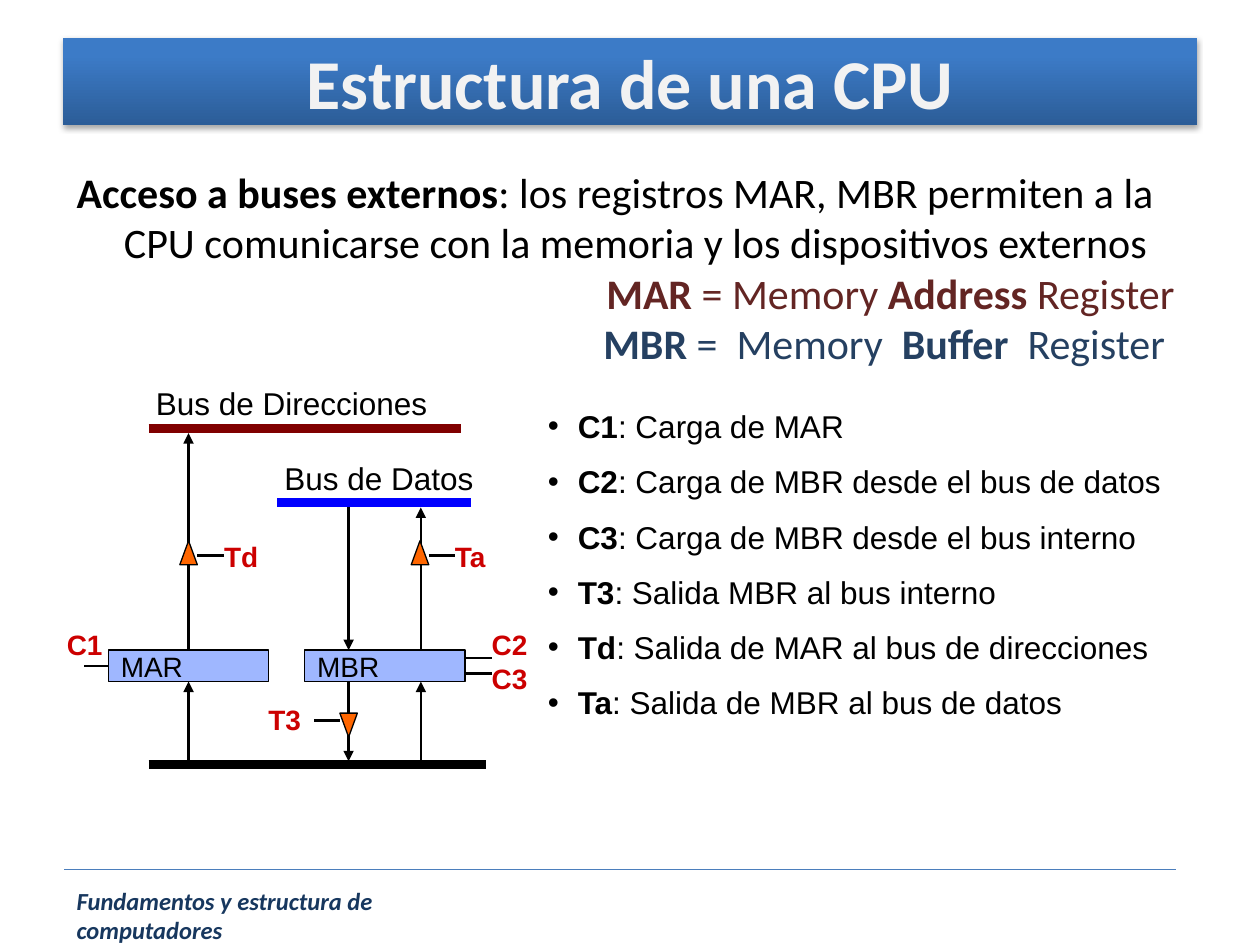
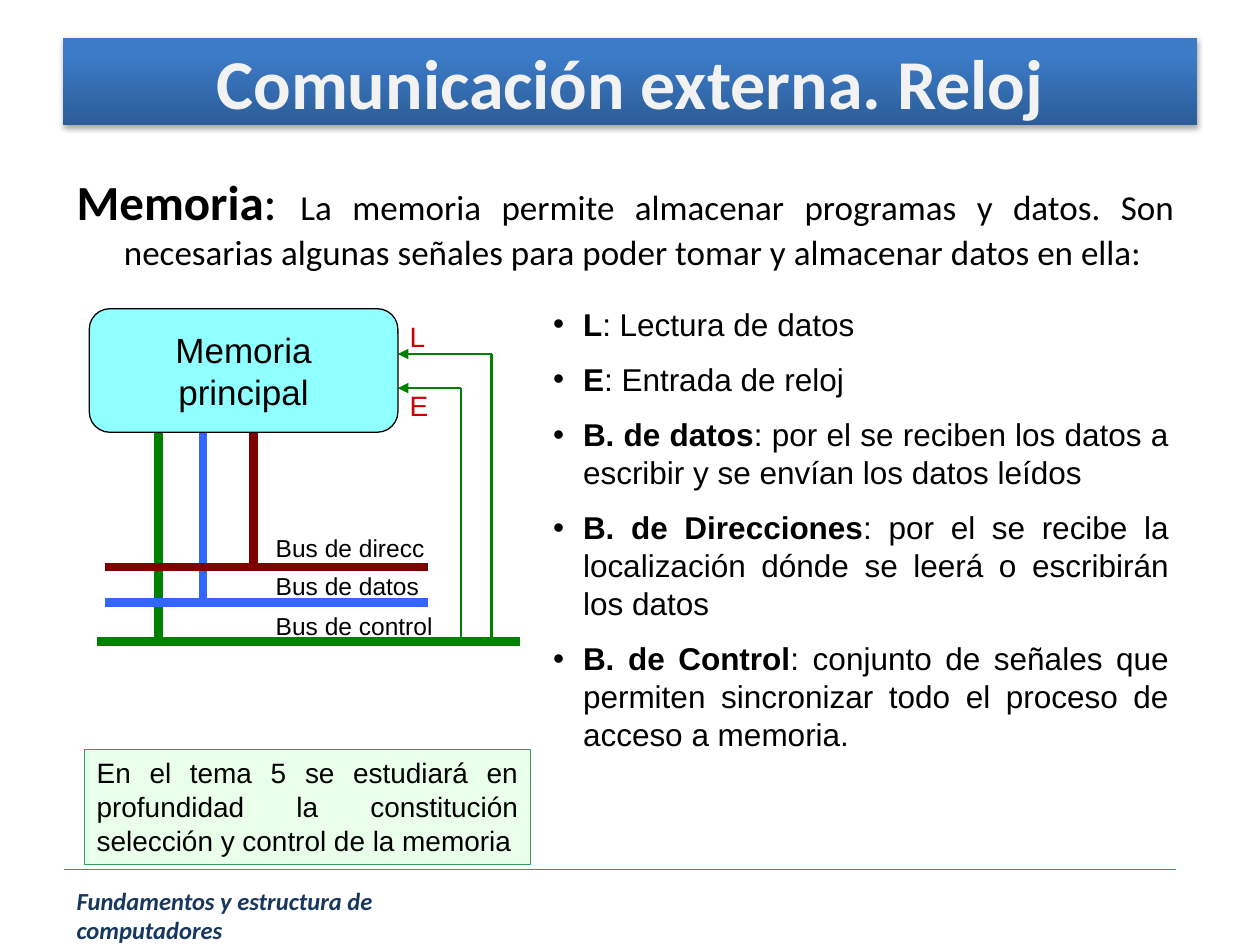
from lxml import etree
from pptx import Presentation
from pptx.dml.color import RGBColor
from pptx.enum.shapes import MSO_CONNECTOR, MSO_SHAPE
from pptx.enum.text import MSO_ANCHOR, PP_ALIGN
from pptx.oxml.ns import qn
from pptx.util import Pt

STRAIGHT = MSO_CONNECTOR.STRAIGHT
RECTANGLE, ROUNDED = MSO_SHAPE.RECTANGLE, MSO_SHAPE.ROUNDED_RECTANGLE
TRIANGLE = MSO_SHAPE.ISOSCELES_TRIANGLE
LEFT, CENTER, RIGHT, JUSTIFY = PP_ALIGN.LEFT, PP_ALIGN.CENTER, PP_ALIGN.RIGHT, PP_ALIGN.JUSTIFY
TOP, MIDDLE = MSO_ANCHOR.TOP, MSO_ANCHOR.MIDDLE
SIDE_TOP, SIDE_LEFT, SIDE_BOTTOM = 0, 1, 2

COLORS = {
    "black": "000000", "title": "F2F2F2", "band_low": "2C5D98", "band_high": "3C7BC7",
    "rule": "4B7EBC", "footer": "17375E", "mar": "632523", "mbr": "254061",
    "signal": "CC0000", "gate": "FF6600", "register": "3366FF", "memory": "00FFFF",
    "address_bus": "800000", "data_bus": "0000FF", "blue_bus": "3366FF",
    "control_bus": "008000", "note": "CCFFCC", "note_edge": "339966",
}
BOLD = {"bold": True}
BUS_WIDTH = 5
WIRE_WIDTH = 1.5


def rgb(name):
    return RGBColor.from_string(COLORS[name])


def set_attributes(target, values):
    for name, value in values.items():
        setattr(target, name, value)


def text_style(size, color="black", name="Arial", **extra):
    return {"size": Pt(size), "name": name, "color": color, **extra}


def format_run(run, style):
    style = dict(style)
    run.font.color.rgb = rgb(style.pop("color"))
    set_attributes(run.font, style)


def indent(paragraph, margin, bullet=None):
    """Give the paragraph a hanging indent, with an optional bullet."""
    properties = paragraph._p.get_or_add_pPr()
    properties.set("marL", str(Pt(margin)))
    properties.set("indent", str(-Pt(margin)))
    if bullet:
        etree.SubElement(properties, qn("a:buFont"), typeface="Arial")
        etree.SubElement(properties, qn("a:buChar"), char=bullet)


def write(shape, paragraphs, style, align=LEFT, gap=0, hang=0, bullet=None,
          anchor=TOP, side_inset=7.2, edge_inset=3.6):
    """Fill a shape; each paragraph is a list of (text, style changes) runs."""
    frame = shape.text_frame
    set_attributes(frame, {
        "word_wrap": True, "vertical_anchor": anchor,
        "margin_left": Pt(side_inset), "margin_right": Pt(side_inset),
        "margin_top": Pt(edge_inset), "margin_bottom": Pt(edge_inset),
    })
    for index, runs in enumerate(paragraphs):
        paragraph = frame.add_paragraph() if index else frame.paragraphs[0]
        if hang:
            indent(paragraph, hang, bullet)
        set_attributes(paragraph, {"alignment": align, "space_before": Pt(gap if index else 0)})
        for text, changes in runs:
            run = paragraph.add_run()
            run.text = text
            format_run(run, {**style, **changes})


def plain(*lines):
    return [[(line, {})] for line in lines]


def add_text(slide, box, paragraphs, style, **layout):
    shape = slide.shapes.add_textbox(*map(Pt, box))
    write(shape, paragraphs, style, **layout)
    return shape


def add_signal(slide, left, top, *names, bold=True, gap=0):
    add_text(slide, (left, top, 26, 26.6 * len(names)), plain(*names),
             text_style(16, "signal", bold=bold), side_inset=0, gap=gap)


def add_definitions(slide, box, definitions, align=LEFT):
    paragraphs = [[(term, BOLD), (": " + meaning, {})] for term, meaning in definitions]
    add_text(slide, box, paragraphs, text_style(18), align=align, gap=10, hang=17.1, bullet="•")


def add_box(slide, kind, box, fill, opacity=100, edge="black"):
    shape = slide.shapes.add_shape(kind, *map(Pt, box))
    shape.shadow.inherit = False
    shape.fill.solid()
    shape.fill.fore_color.rgb = rgb(fill)
    if opacity < 100:
        color = shape._element.spPr.find(qn("a:solidFill"))[0]
        etree.SubElement(color, qn("a:alpha"), val=str(opacity * 1000))
    shape.line.color.rgb = rgb(edge)
    shape.line.width = Pt(0.75)
    return shape


def add_line(slide, begin, end, color="black", width=WIRE_WIDTH, arrow=False):
    connector = slide.shapes.add_connector(STRAIGHT, *map(Pt, (*begin, *end)))
    connector.line.color.rgb = rgb(color)
    connector.line.width = Pt(width)
    if arrow:
        etree.SubElement(connector.line._get_or_add_ln(), qn("a:tailEnd"), type="triangle")
    etree.SubElement(connector._element.spPr, qn("a:effectLst"))
    return connector


def add_register(slide, left, name):
    shape = add_box(slide, RECTANGLE, (left, 371.5, 91.5, 18), "register", 47)
    write(shape, plain(name), text_style(16), anchor=MIDDLE, edge_inset=0)
    return shape


def add_gate(slide, center, top, stub_y, stub_end, rotation=0):
    """Three-state gate with the stub of its control signal."""
    side = center + (5 if stub_end > center else -5)
    add_line(slide, (side, stub_y), (stub_end, stub_y))
    gate = add_box(slide, TRIANGLE, (center - 5, top, 10, 13.7), "gate")
    gate.rotation = rotation


def add_frame(slide, title):
    """Title band, rule and footer shared by all slides."""
    band = add_box(slide, RECTANGLE, (36, 21.6, 648, 49.7), "band_high")
    band.line.fill.background()
    band.fill.gradient()
    band.fill.gradient_angle = 90
    stops = zip(band.fill.gradient_stops, ("band_low", "band_high"), (0, 0.8))
    for stop, color, position in stops:
        stop.color.rgb = rgb(color)
        stop.position = position
    effects = band._element.spPr.find(qn("a:effectLst"))
    shadow = etree.SubElement(effects, qn("a:outerShdw"), blurRad=str(Pt(3)),
                              dist=str(Pt(1.8)), dir="5400000", rotWithShape="0")
    shade = etree.SubElement(shadow, qn("a:srgbClr"), val=COLORS["black"])
    etree.SubElement(shade, qn("a:alpha"), val="35000")
    write(band, plain(title), text_style(40, "title", "Calibri", bold=True),
          align=CENTER, anchor=MIDDLE, edge_inset=0)

    add_line(slide, (36.7, 496.8), (671.8, 496.8), "rule", 0.75)
    add_text(slide, (36.7, 502.6, 260, 24.5), plain("Fundamentos y estructura de computadores"),
             text_style(14, "footer", "Calibri", bold=True, italic=True))


def add_cpu_diagram(slide):
    mar = add_register(slide, 62, "MAR")
    mbr_left, mbr_right = 174.2, 265.7
    add_register(slide, mbr_left, "MBR")
    mar_center, input_x, output_x = 107.75, 199.2, 240.5
    register_top, register_bottom, internal_y = 371.5, 389.5, 435

    # Wires between the registers and the buses
    up = add_line(slide, (mar_center, register_top), (mar_center, 247.5), arrow=True)
    up.begin_connect(mar, SIDE_TOP)
    load = add_line(slide, (mar_center, internal_y), (mar_center, register_bottom), arrow=True)
    load.end_connect(mar, SIDE_BOTTOM)
    for begin, end in (
        ((output_x, register_top), (output_x, 290)),
        ((input_x, 290), (input_x, register_top)),
        ((output_x, internal_y), (output_x, register_bottom)),
        ((input_x, register_bottom), (input_x, internal_y)),
    ):
        add_line(slide, begin, end, arrow=True)

    # Load signals
    add_line(slide, (62, 380.5), (48.2, 380.5)).begin_connect(mar, SIDE_LEFT)
    for y in (376, 385):
        add_line(slide, (mbr_right, y), (281, y))
    add_signal(slide, 38.2, 355, "C1")
    add_signal(slide, 281, 355, "C2", "C3")

    # Output gates
    add_gate(slide, mar_center, 309, 317.5, 128)
    add_gate(slide, output_x - 0.5, 309, 317.5, 260)
    add_gate(slide, input_x, 407.5, 411.8, 179.3, rotation=180)
    for left, top, name in ((128, 304.6, "Td"), (260, 304.6, "Ta"), (153.4, 398.2, "T3")):
        add_signal(slide, left, top, name)

    # Buses
    for left, right, y, color in (
        (85, 278, 437, "black"), (158.4, 269.3, 287.3, "data_bus"),
        (85, 263.5, 244.8, "address_bus"),
    ):
        add_line(slide, (left, y), (right, y), color, BUS_WIDTH)
    add_text(slide, (155.5, 258.5, 127.5, 29), plain("Bus de Datos"), text_style(18))
    add_text(slide, (82, 216, 184, 29), plain("Bus de Direcciones"), text_style(18))


def add_memory_diagram(slide):
    right, bottom = 227.4, 247

    # Control signals
    for x, y in ((281, 202.3), (263.5, 221.8)):
        add_line(slide, (x, y), (right, y), "control_bus", arrow=True)
        add_line(slide, (x, y), (x, 364.5), "control_bus")
    add_signal(slide, 234, 179.3, "L", "E", bold=False, gap=20)

    # Buses: colour, trunk x, bus y, left end, right end, label top, label
    buses = (
        ("address_bus", 144.7, 324, 60, 244.8, 301, "Bus de direcc"),
        ("blue_bus", 116, 344.2, 60, 244.8, 322.6, "Bus de datos"),
        ("control_bus", 90.7, 366.5, 55.4, 297.4, 345.6, "Bus de control"),
    )
    for color, trunk, y, *_ in buses:
        add_line(slide, (trunk, y), (trunk, bottom), color, BUS_WIDTH)
    memory = add_box(slide, ROUNDED, (51, 176.4, 176.4, 70.6), "memory", 44)
    write(memory, plain("Memoria", "principal"), text_style(20), align=CENTER, anchor=MIDDLE)
    for color, _, y, start, end, label_top, label in buses:
        add_line(slide, (start, y), (end, y), color, BUS_WIDTH)
        add_text(slide, (150.5, label_top, 111, 24), plain(label), text_style(14))


def build_cpu_slide(slide):
    add_frame(slide, "Estructura de una CPU")
    mar, mbr = {"color": "mar"}, {"color": "mbr"}
    body = add_text(slide, (36.7, 91.5, 641.5, 113), [
        [("Acceso a buses externos", BOLD),
         (": los registros MAR, MBR permiten a la CPU comunicarse con la memoria "
          "y los dispositivos externos", {})],
        [("MAR", {**mar, **BOLD}), (" = Memory ", mar), ("Address ", {**mar, **BOLD}),
         ("Register", mar)],
        [("MBR", {**mbr, **BOLD}), (" =  Memory  ", mbr), ("Buffer  ", {**mbr, **BOLD}),
         ("Register ", mbr)],
    ], text_style(24, name="Calibri"), align=RIGHT, hang=27)
    body.text_frame.paragraphs[0].alignment = LEFT
    add_definitions(slide, (306, 229, 366, 191.5), (
        ("C1", "Carga de MAR"),
        ("C2", "Carga de MBR desde el bus de datos"),
        ("C3", "Carga de MBR desde el bus interno"),
        ("T3", "Salida MBR al bus interno"),
        ("Td", "Salida de MAR al bus de direcciones"),
        ("Ta", "Salida de MBR al bus de datos"),
    ))
    add_cpu_diagram(slide)


def build_memory_slide(slide):
    add_frame(slide, "Comunicación externa. Reloj")
    large = {"size": Pt(28)}
    add_text(slide, (36.7, 94.3, 641.5, 60), [
        [("Memoria", {**large, **BOLD}), (": ", large),
         ("La memoria permite almacenar programas y datos. Son necesarias algunas "
          "señales para poder tomar y almacenar datos en ella:", {})],
    ], text_style(20, name="Calibri"), align=JUSTIFY, hang=27)
    add_definitions(slide, (309, 170.6, 366, 267), (
        ("L", "Lectura de datos"),
        ("E", "Entrada de reloj"),
        ("B. de datos", "por el se reciben los datos a escribir y se envían los datos leídos"),
        ("B. de Direcciones",
         "por el se recibe la localización dónde se leerá o escribirán los datos"),
        ("B. de Control",
         "conjunto de señales que permiten sincronizar todo el proceso de acceso a memoria."),
    ), align=JUSTIFY)
    add_memory_diagram(slide)

    # Note about a later unit
    note = add_box(slide, RECTANGLE, (48.2, 428.4, 255, 65.5), "note", 43, "note_edge")
    write(note, plain("En el tema 5 se estudiará en profundidad la constitución "
                      "selección y control de la memoria"), text_style(16), align=JUSTIFY)


def main():
    presentation = Presentation()
    set_attributes(presentation, {"slide_width": Pt(720), "slide_height": Pt(540)})
    blank = presentation.slide_layouts[6]
    for build in (build_cpu_slide, build_memory_slide):
        build(presentation.slides.add_slide(blank))
    presentation.save("out.pptx")


if __name__ == "__main__":
    main()
